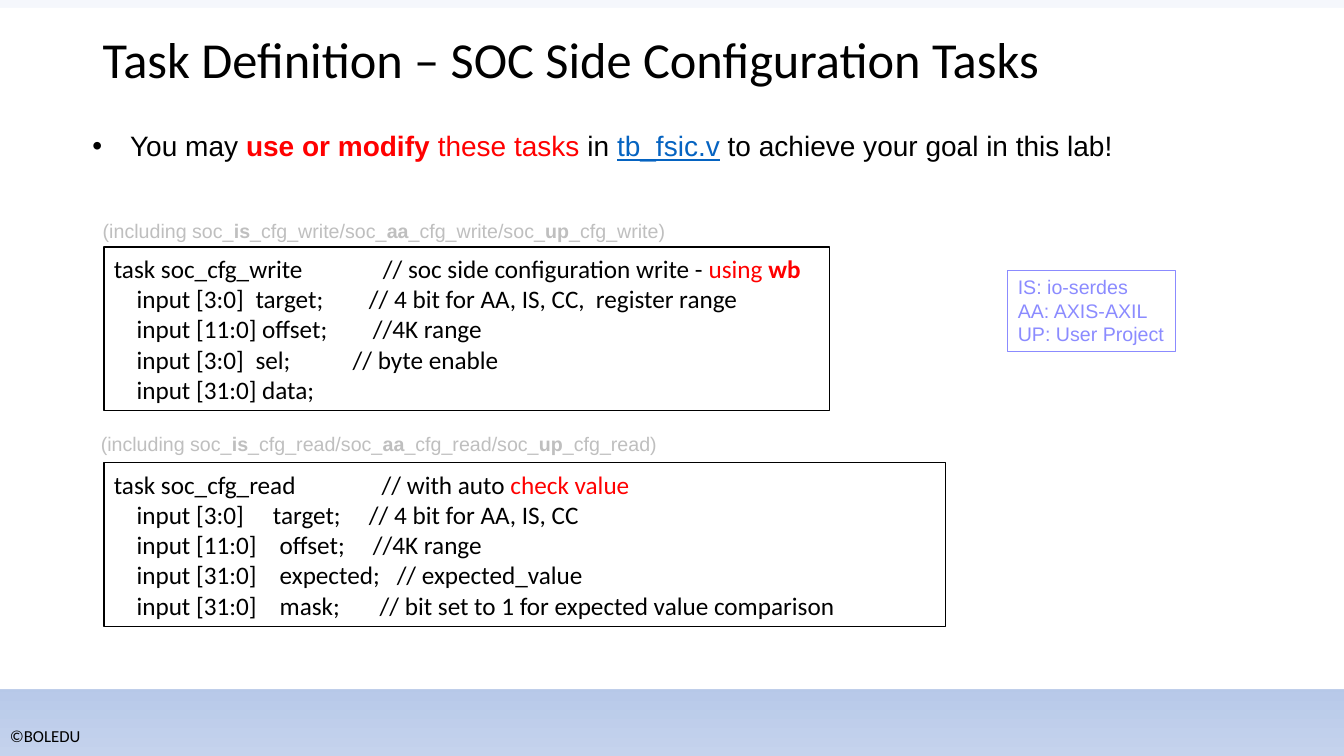
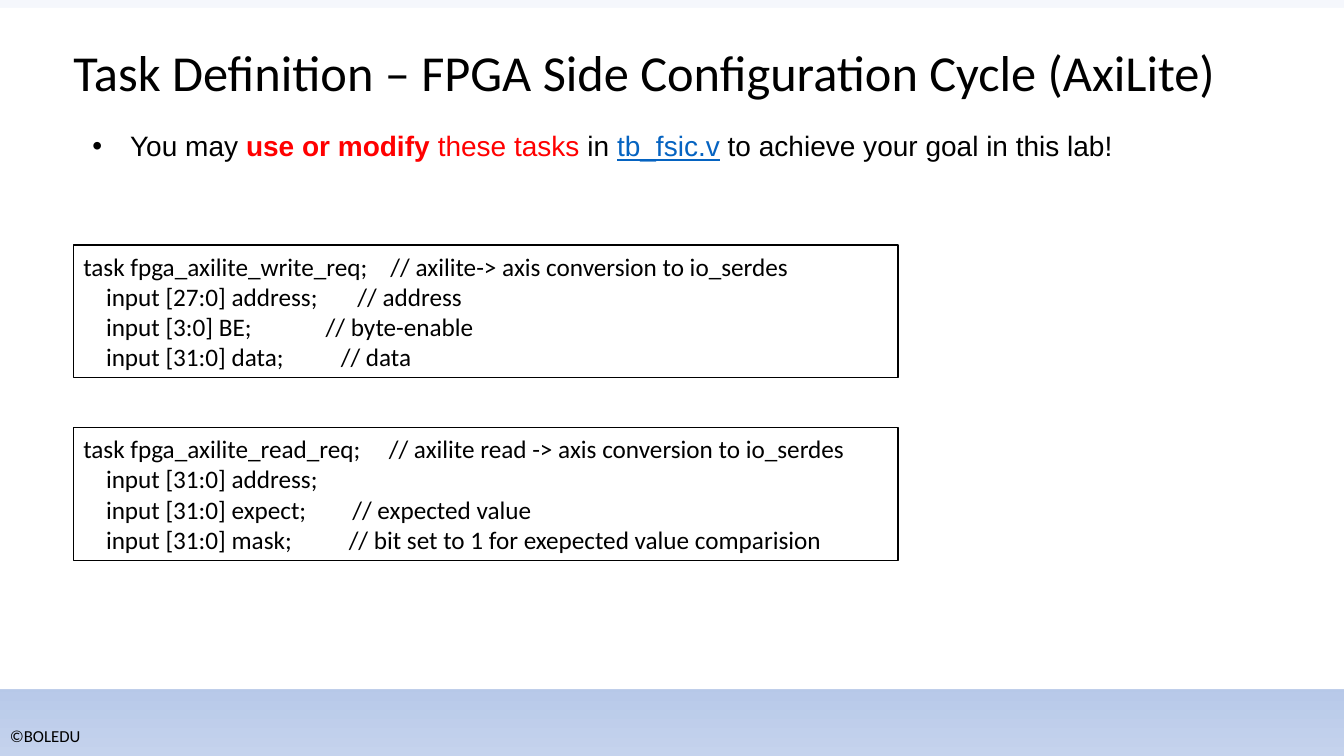
from dataclasses import dataclass

from lxml import etree
from pptx import Presentation
from pptx.dml.color import RGBColor
from pptx.enum.shapes import MSO_SHAPE
from pptx.enum.text import MSO_ANCHOR, PP_ALIGN
from pptx.oxml.ns import qn
from pptx.util import Cm, Pt

RECTANGLE = MSO_SHAPE.RECTANGLE
MIDDLE, TOP = MSO_ANCHOR.MIDDLE, MSO_ANCHOR.TOP
LEFT = PP_ALIGN.LEFT


@dataclass(frozen=True)
class Theme:
    """Colours, fonts and type sizes shared by the slides."""

    ink: str = "000000"
    paper: str = "FFFFFF"
    alert: str = "FF0000"
    link: str = "0563C1"
    muted: str = "BFBFBF"
    legend: str = "8B8BFF"
    gradient: tuple = ((0, "F5F7FC"), (74, "A9BEE4"), (83, "A9BEE4"), (100, "C5D3ED"))
    heading_font: str = "Calibri"
    body_font: str = "Arial"
    title_size: int = 36
    bullet_size: int = 20
    code_size: int = 18
    note_size: int = 14
    footer_size: int = 12


THEME = Theme()


@dataclass(frozen=True)
class Span:
    """A piece of text with the properties that differ from its paragraph."""

    text: str
    color: str = ""
    bold: bool = False
    underline: bool = False


@dataclass(frozen=True)
class Line:
    """A paragraph made of spans, with its tab stops in centimetres."""

    spans: tuple
    tabs: tuple = ()
    bullet: bool = False


def code(text, *tabs):
    """Return a line of code in one style."""
    return Line((Span(text),), tabs)


WRITE_TASK = (
    Line((Span("task soc_cfg_write\t// soc side configuration write - "),
          Span("using ", THEME.alert), Span("wb", THEME.alert, bold=True)), (6.78,)),
    code("    input [3:0]\ttarget;\t// 4 bit for AA, IS, CC,\tregister range", 3.57, 6.43, 12.15),
    code("    input [11:0] offset;\t//4K range", 6.53),
    code("    input [3:0]\tsel;\t// byte enable", 3.57, 6.02),
    code("    input [31:0] data;"),
)
READ_TASK = (
    Line((Span("task soc_cfg_read\t// with auto "), Span("check value", THEME.alert)), (6.75,)),
    code("    input [3:0]\ttarget;\t// 4 bit for AA, IS, CC", 4.01, 6.43),
    code("    input [11:0]\toffset;\t//4K range", 4.18, 6.53),
    code("    input [31:0]\texpected;\t// expected_value", 4.18, 7.13),
    code("    input [31:0]\tmask;\t// bit set to 1 for expected value comparison", 4.18, 6.7),
)
WRITE_REQUEST = (
    code("task fpga_axilite_write_req;\t// axilite-> axis conversion to io_serdes", 7.74),
    code("    input [27:0] address;\t// address", 6.91),
    code("    input [3:0] BE;\t// byte-enable", 6.11),
    code("    input [31:0] data;\t// data", 6.49),
)
READ_REQUEST = (
    code("task fpga_axilite_read_req;\t// axilite read -> axis conversion to io_serdes", 7.7),
    code("    input [31:0] address;"),
    code("    input [31:0] expect;\t// expected value", 6.78),
    code("    input [31:0] mask;\t// bit set to 1 for exepected value comparision", 6.69),
)
ADVICE = Line((
    Span("You may "),
    Span("use or modify ", THEME.alert, bold=True),
    Span("these tasks ", THEME.alert),
    Span("in "),
    Span("tb_fsic.v", THEME.link, underline=True),
    Span(" to achieve your goal in this lab!"),
), bullet=True)


def rgb(color):
    """Turn a hexadecimal string into a colour."""
    return RGBColor.from_string(color)


def add_marks(para, line):
    """Add the bullet and the tab stops of a line to its paragraph."""
    properties = para._p.get_or_add_pPr()
    if line.bullet:
        properties.set("marL", str(Cm(0.95)))
        properties.set("indent", str(-Cm(0.95)))
        font = etree.SubElement(properties, qn("a:buFont"))
        font.set("typeface", THEME.body_font)
        etree.SubElement(properties, qn("a:buChar")).set("char", "•")
    if line.tabs:
        stops = etree.SubElement(properties, qn("a:tabLst"))
        for position in line.tabs:
            stop = etree.SubElement(stops, qn("a:tab"))
            stop.set("pos", str(Cm(position)))
            stop.set("algn", "l")


def write(box, lines, font, size, color=THEME.ink, anchor=TOP, wrap=True):
    """Write lines into a box in one base style."""
    frame = box.text_frame
    frame.word_wrap = wrap
    frame.vertical_anchor = anchor
    for index, line in enumerate(lines):
        para = frame.add_paragraph() if index else frame.paragraphs[0]
        para.alignment = LEFT
        add_marks(para, line)
        para.font.name = font
        para.font.size = Pt(size)
        para.font.color.rgb = rgb(color)
        for span in line.spans:
            run = para.add_run()
            run.text = span.text
            if span.color:
                run.font.color.rgb = rgb(span.color)
            if span.bold:
                run.font.bold = True
            if span.underline:
                run.font.underline = True


def add_text(page, area, lines, font, size, **style):
    """Add a text box; area is left, top, width and height in centimetres."""
    write(page.shapes.add_textbox(*map(Cm, area)), lines, font, size, **style)


def add_box(page, area, fill="", outline="", weight=1):
    """Add a rectangle with an optional fill and outline."""
    box = page.shapes.add_shape(RECTANGLE, *map(Cm, area))
    box.shadow.inherit = False
    if fill:
        box.fill.solid()
        box.fill.fore_color.rgb = rgb(fill)
    else:
        box.fill.background()
    if outline:
        box.line.color.rgb = rgb(outline)
        box.line.width = Pt(weight)
    else:
        box.line.fill.background()
    return box


def set_background(master):
    """Give the master a vertical gradient."""
    fill = master.background.fill
    fill.gradient()
    fill.gradient_angle = 270
    stops = master._element.find(".//" + qn("p:bg")).find(".//" + qn("a:gsLst"))
    for stop in list(stops):
        stops.remove(stop)
    for percent, color in THEME.gradient:
        stop = etree.SubElement(stops, qn("a:gs"))
        stop.set("pos", str(percent * 1000))
        etree.SubElement(stop, qn("a:srgbClr")).set("val", color)


def add_page(deck, title, left, top):
    """Add a slide with its footer, white band, title and advice."""
    page = deck.slides.add_slide(deck.slide_layouts[6])
    add_text(page, (0, 18.16, 4.83, 0.76), [code("©BOLEDU")],
             THEME.heading_font, THEME.footer_size)
    add_box(page, (0, 0.2, 33.87, 17.17), THEME.paper)
    add_text(page, (left, top, 29.6, 1.8), [code(title)],
             THEME.heading_font, THEME.title_size, anchor=MIDDLE)
    add_text(page, (2.08, 3.12, 26.67, 1.12), [ADVICE],
             THEME.body_font, THEME.bullet_size, wrap=False)
    return page


def add_code(page, left, top, width, lines):
    """Add a framed listing as tall as its lines."""
    height = 0.25 + 0.775 * len(lines)
    box = add_box(page, (left, top, width, height), THEME.paper, THEME.ink)
    write(box, lines, THEME.heading_font, THEME.code_size, anchor=MIDDLE)


def add_caption(page, left, top, action):
    """List the tasks that an action covers, with their targets in bold."""
    spans = [Span("(including ")]
    for index, target in enumerate(("is", "aa", "up")):
        spans += [Span("/soc_" if index else "soc_"), Span(target, bold=True),
                  Span(f"_cfg_{action}")]
    spans.append(Span(")"))
    add_text(page, (left, top, 14.88, 0.86), [Line(tuple(spans))],
             THEME.body_font, THEME.note_size, color=THEME.muted, wrap=False)


def add_legend(page):
    """Add the framed key to the abbreviations."""
    box = add_box(page, (25.4, 6.81, 4.22, 2.06), outline=THEME.legend, weight=0.75)
    names = ("IS: io-serdes", "AA: AXIS-AXIL", "UP: User Project")
    write(box, [code(name) for name in names], THEME.body_font, THEME.note_size,
          color=THEME.legend, wrap=False)


def main():
    """Build and save the deck."""
    deck = Presentation()
    deck.slide_width, deck.slide_height = Cm(33.87), Cm(19.05)
    set_background(deck.slide_master)

    soc = add_page(deck, "Task Definition – SOC Side Configuration Tasks", 2.34, 0.58)
    add_code(soc, 2.62, 6.22, 18.29, WRITE_TASK)
    add_code(soc, 2.62, 11.66, 21.21, READ_TASK)
    add_caption(soc, 2.34, 5.38, "write")
    add_caption(soc, 2.29, 10.77, "read")
    add_legend(soc)

    fpga = add_page(deck, "Task Definition – FPGA Side Configuration Cycle (AxiLite)", 1.6, 0.91)
    for top, lines in ((6.17, WRITE_REQUEST), (10.77, READ_REQUEST)):
        add_code(fpga, 1.85, top, 20.78, lines)

    deck.save("out.pptx")


if __name__ == "__main__":
    main()
